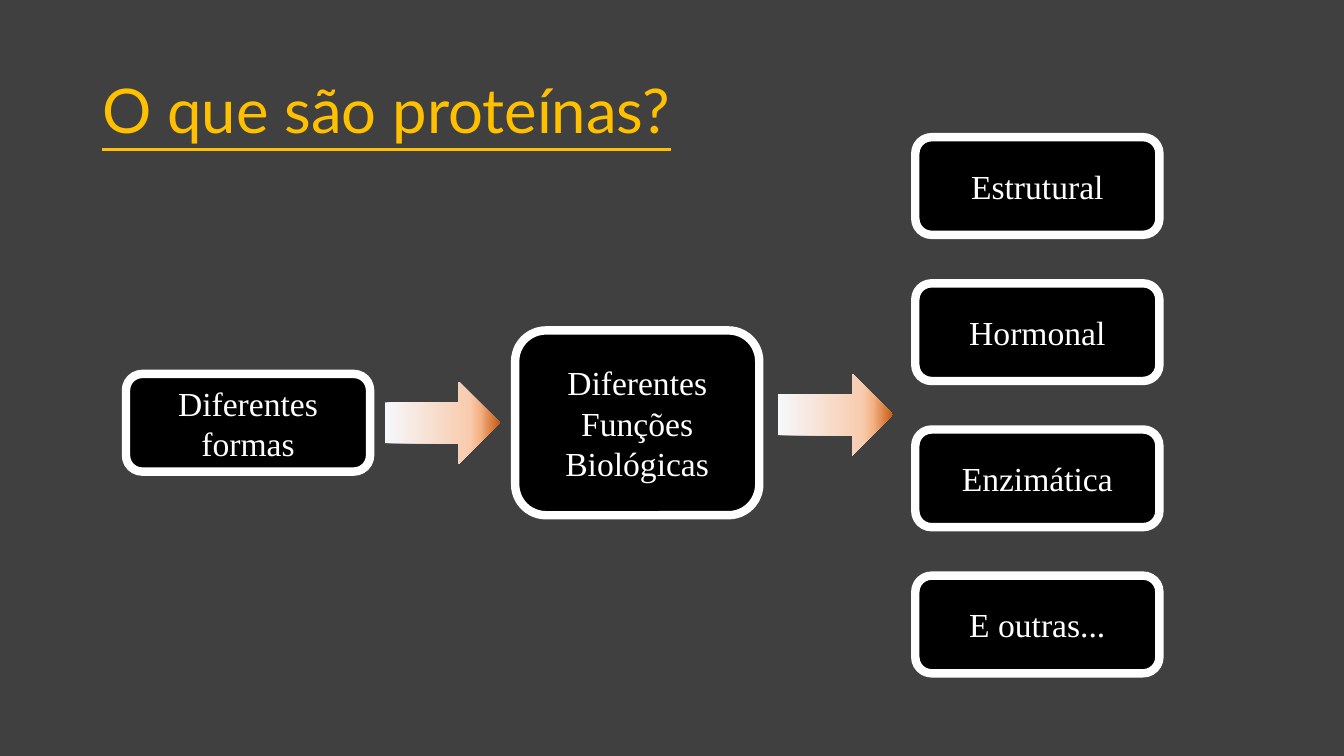
from copy import deepcopy
from dataclasses import dataclass

from pptx import Presentation
from pptx.dml.color import RGBColor as RGB
from pptx.enum.shapes import MSO_SHAPE as Kind
from pptx.enum.text import MSO_ANCHOR as Anchor, PP_ALIGN as Align
from pptx.oxml.ns import qn
from pptx.util import Pt


# Colours, fonts and type sizes
@dataclass(frozen=True)
class Theme:
    back: str = "404040"
    gold: str = "FFC000"
    box: str = "000000"
    light: str = "FFFFFF"
    fade: tuple = ((0, "F6F8FC"), (0.74, "F8CBAD"), (0.83, "F4B183"), (1, "C55A11"))
    head: str = "Lato"
    body: str = "Times New Roman"
    big: int = 44
    text: int = 24
    edge: int = 6


class Deck:
    def __init__(self, theme):
        self.theme = theme
        self.file = Presentation()
        self.file.slide_width, self.file.slide_height = Pt(960), Pt(540)
        self.slide = self.file.slides.add_slide(self.file.slide_layouts[5])
        fill = self.slide.background.fill
        fill.solid()
        fill.fore_color.rgb = RGB.from_string(theme.back)

    def style(self, para, face, size, color):
        font = para.font
        font.name, font.size = face, Pt(size)
        font.color.rgb = RGB.from_string(color)

    def title(self, text, x, y, w, h):
        head = self.slide.shapes.title
        head.left, head.top, head.width, head.height = map(Pt, (x, y, w, h))
        frame = head.text_frame
        frame.text = text
        frame.word_wrap = True
        frame.vertical_anchor = Anchor.MIDDLE
        para = frame.paragraphs[0]
        para.alignment, para.line_spacing = Align.LEFT, 0.9
        self.style(para, self.theme.head, self.theme.big, self.theme.gold)
        para.font.underline = True

    def shape(self, kind, x, y, w, h):
        item = self.slide.shapes.add_shape(kind, *map(Pt, (x, y, w, h)))
        item.shadow.inherit = False
        return item

    def box(self, text, x, y, w, h):
        item = self.shape(Kind.ROUNDED_RECTANGLE, x, y, w, h)
        item.fill.solid()
        item.fill.fore_color.rgb = RGB.from_string(self.theme.box)
        item.line.color.rgb = RGB.from_string(self.theme.light)
        item.line.width = Pt(self.theme.edge)
        frame = item.text_frame
        frame.text = text
        frame.word_wrap = True
        frame.vertical_anchor = Anchor.MIDDLE
        for para in frame.paragraphs:
            para.alignment = Align.CENTER
            self.style(para, self.theme.body, self.theme.text, self.theme.light)

    def arrow(self, x, y, w, h):
        item = self.shape(Kind.RIGHT_ARROW, x, y, w, h)
        item.line.fill.background()
        item.fill.gradient()
        item.fill.gradient_angle = 0
        # The default gradient has two stops: add the rest
        stops = next(item.element.iter(qn("a:gsLst")))
        while len(stops) < len(self.theme.fade):
            stops.append(deepcopy(stops[0]))
        for stop, (pos, color) in zip(item.fill.gradient_stops, self.theme.fade):
            stop.position = pos
            stop.color.rgb = RGB.from_string(color)


deck = Deck(Theme())
deck.title("O que são proteínas?", 66, 28.8, 828, 104.4)

# Flow from shapes to functions
wide, high, mid = 174.4, 69.8, 302
deck.box("Diferentes formas", 90, mid - high / 2, wide, high)
deck.box("Diferentes Funções\nBiológicas", 368, mid - 66, wide, 132)
for x, y in ((275, 272.8), (555.8, 267)):
    deck.arrow(x, y, 82, 58.4)

# Kinds of function
for row, name in enumerate(("Estrutural", "Hormonal", "Enzimática", "E outras...")):
    deck.box(name, 653.8, 98 + row * 104.4, wide, high)

deck.file.save("out.pptx")
